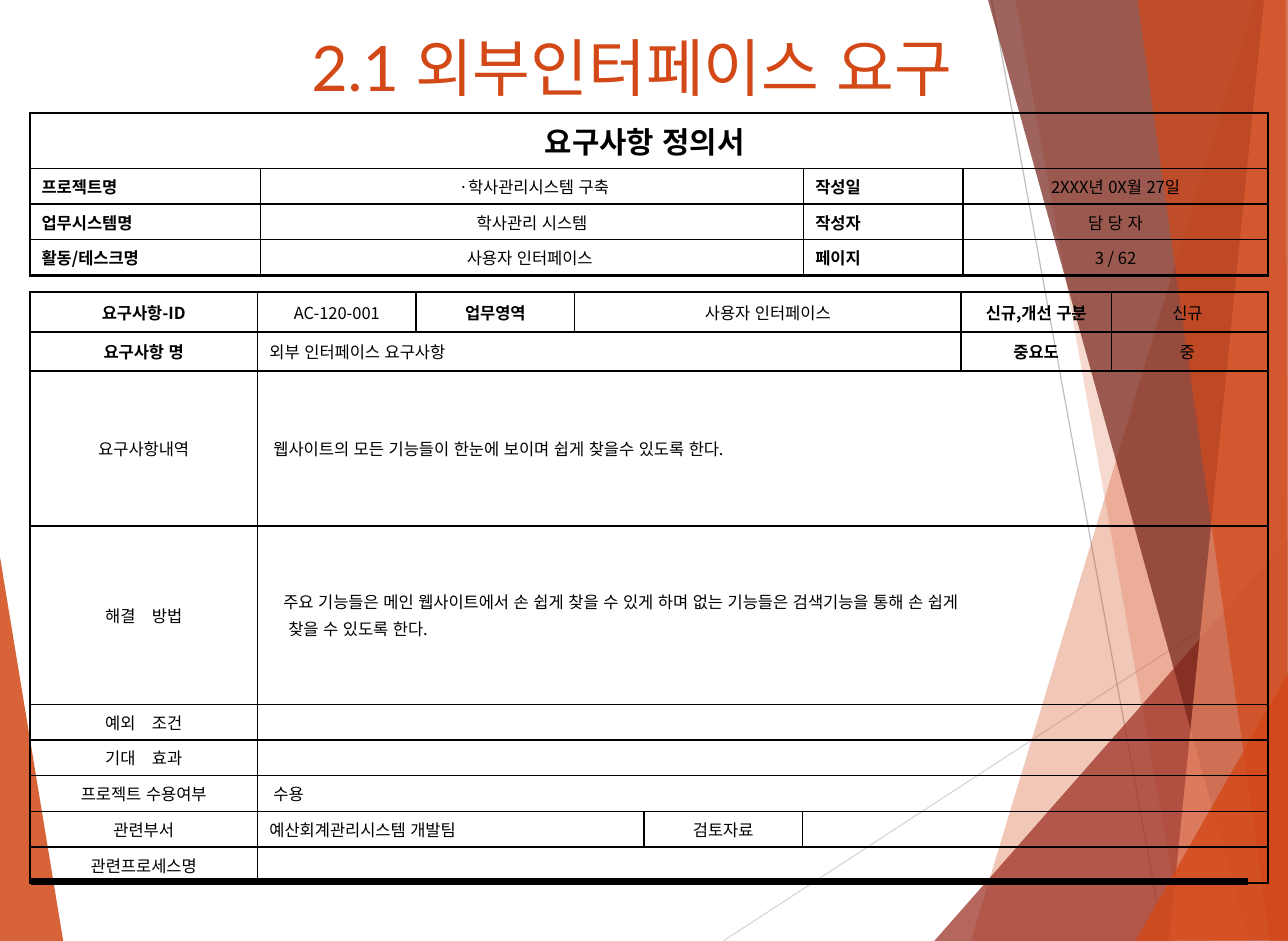
from lxml import etree
from pptx import Presentation
from pptx.dml.color import RGBColor
from pptx.enum.lang import MSO_LANGUAGE_ID
from pptx.enum.shapes import MSO_CONNECTOR
from pptx.enum.text import MSO_ANCHOR, PP_ALIGN
from pptx.oxml.ns import qn
from pptx.util import Pt

PX = 7620
STRAIGHT = MSO_CONNECTOR.STRAIGHT
MIDDLE = MSO_ANCHOR.MIDDLE
KOREAN = MSO_LANGUAGE_ID.KOREAN
LEFT, CENTER, JUSTIFY = PP_ALIGN.LEFT, PP_ALIGN.CENTER, PP_ALIGN.JUSTIFY

THEME = {
    "orange": "D34817", "red": "9B2D1F", "maroon": "742217", "salmon": "EF8C6A",
    "pale": "D9D9D9", "gray": "BFBFBF", "black": "000000",
    "title_font": "Lato", "body_font": "Noto Sans CJK KR",
    "title_size": 38, "head_size": 18, "body_size": 10,
    "thin": 1, "thick": 1.5, "bar": 4.5, "hairline": 0.75,
}


def format_span(span, font, size, color, bold=False):
    span.font.name = font
    span.font.size = Pt(size)
    span.font.bold = bold
    span.font.language_id = KOREAN
    span.font.color.rgb = RGBColor.from_string(THEME[color])
    east_asian = etree.SubElement(span._r.get_or_add_rPr(), qn("a:ea"))
    east_asian.set("typeface", THEME["body_font"])


def set_borders(cell, widths):
    properties = cell._tc.get_or_add_tcPr()
    for position, (side, width) in enumerate(widths.items()):
        border = etree.Element(qn("a:ln" + side), w=str(int(Pt(width))))
        fill = etree.SubElement(border, qn("a:solidFill"))
        etree.SubElement(fill, qn("a:srgbClr"), val=THEME["black"])
        properties.insert(position, border)


deck = Presentation()
deck.slide_width = 1300 * PX
deck.slide_height = 950 * PX
page = deck.slides.add_slide(deck.slide_layouts[6])

facets = [
    ("orange", 85, [(-1, 556), (64, 951), (-1, 950)]),
    ("orange", 30, [(1267, 0), (980, 950), (1302, 951), (1301, 1)]),
    ("orange", 20, [(1025, -1), (1195, 950), (1301, 950), (1301, -1)]),
    ("red", 72, [(943, 950), (1300, 544), (1301, 950)]),
    ("maroon", 70, [(997, -1), (1261, 950), (1301, 949), (1301, -1)]),
    ("salmon", 70, [(1276, -1), (1180, 950), (1301, 950), (1301, -1)]),
    ("orange", 65, [(1148, -1), (1282, 950), (1300, 950), (1298, -1)]),
    ("orange", 80, [(1146, 950), (1301, 678), (1302, 949)]),
]
rules = [
    (730, 950, 1301, 578, "pale", "hairline"),
    (1001, 0, 1175, 950, "gray", "hairline"),
    (31, 890, 1260, 890, "black", "bar"),
]
backdrop = facets[:1] + rules[:2] + facets[1:] + rules[2:]

for item in backdrop:
    if item in rules:
        x1, y1, x2, y2, color, weight = item
        rule = page.shapes.add_connector(STRAIGHT, x1 * PX, y1 * PX, x2 * PX, y2 * PX)
        rule.line.color.rgb = RGBColor.from_string(THEME[color])
        rule.line.width = Pt(THEME[weight])
        etree.SubElement(rule._element.spPr, qn("a:effectLst"))
    else:
        color, opacity, points = item
        builder = page.shapes.build_freeform(*points[0], scale=PX)
        builder.add_line_segments(points[1:], close=True)
        facet = builder.convert_to_shape()
        facet.shadow.inherit = False
        facet.line.fill.background()
        facet.fill.solid()
        facet.fill.fore_color.rgb = RGBColor.from_string(THEME[color])
        tint = facet._element.spPr.find(qn("a:solidFill"))[0]
        etree.SubElement(tint, qn("a:alpha"), val=str(opacity * 1000))

KINDS = {
    "head": (CENTER, True, "head_size"),
    "name": (JUSTIFY, True, "body_size"),
    "label": (CENTER, True, "body_size"),
    "value": (CENTER, False, "body_size"),
    "note": (LEFT, False, "body_size"),
}

project_rows = [[("요구사항 정의서 ", 4, "head", [0])]]
for name, value, side_name, side_value in [
    ("프로젝트명", " ·학사관리시스템 구축", "작성일", "2XXX년 0X월 27일"),
    ("업무시스템명 ", "학사관리 시스템", "작성자", "담 당 자"),
    ("활동/테스크명", "사용자 인터페이스 ", "페이지", "3 / 62"),
]:
    project_rows.append([(name, 1, "name", [0]), (value, 1, "value", [0]),
                         (side_name, 1, "name", [0]), (side_value, 1, "value", [0])])

requirement_rows = [
    [("요구사항-ID", 1, "label", [0]), ("AC-120-001", 1, "value", [0]),
     ("업무영역", 1, "label", [0]), ("사용자 인터페이스", 3, "value", [0]),
     ("신규,개선 구분", 1, "label", [0]), ("신규 ", 1, "value", [0])],
    [("요구사항 명", 1, "label", [0]), ("외부 인터페이스 요구사항", 5, "note", [0]),
     ("중요도", 1, "label", [0]), ("중 ", 1, "value", [0])],
]
for name, note, indents in [
    ("요구사항내역", "웹사이트의 모든 기능들이 한눈에 보이며 쉽게 찾을수 있도록 한다.", [4]),
    ("해결　방법", "주요 기능들은 메인 웹사이트에서 손 쉽게 찾을 수 있게 하며 없는 기능들은 "
     "검색기능을 통해 손 쉽게\n찾을 수 있도록 한다.", [14, 19]),
    ("예외　조건", "", [0]),
    ("기대　효과", "", [0]),
    ("프로젝트 수용여부", "수용", [4]),
]:
    requirement_rows.append([(name, 1, "value", [0]), (note, 7, "note", indents)])
requirement_rows += [
    [("관련부서", 1, "value", [0]), ("예산회계관리시스템 개발팀", 3, "note", [0]),
     ("검토자료", 1, "value", [0]), ("", 3, "note", [0])],
    [("관련프로세스명", 1, "value", [0]), ("", 7, "note", [0])],
]

tables = [
    (114, [233, 548, 161, 308], [56] + [36] * 3, project_rows, []),
    (295, [230, 160, 160, 70, 160, 160, 152, 158], [40, 40, 156, 180] + [36] * 5,
     requirement_rows, [0, 1]),
]
for top, widths, heights, rows, thick_rows in tables:
    grid = page.shapes.add_table(len(heights), len(widths), 30 * PX, top * PX,
                                 sum(widths) * PX, sum(heights) * PX).table
    grid.first_row = False
    grid.horz_banding = False
    for column, width in zip(grid.columns, widths):
        column.width = width * PX
    for grid_row, height in zip(grid.rows, heights):
        grid_row.height = height * PX
    for cell in grid.iter_cells():
        cell.fill.background()
    thin, thick = THEME["thin"], THEME["thick"]
    thick_edges = {0, len(rows)} | {index + 1 for index in thick_rows}
    for row_index, row in enumerate(rows):
        start = 0
        for text, width, kind, indents in row:
            end = start + width
            cell = grid.cell(row_index, start)
            if width > 1:
                cell.merge(grid.cell(row_index, end - 1))
            edges = {
                "L": thick if start == 0 else thin,
                "R": thick if end == len(widths) else thin,
                "T": thick if row_index in thick_edges else thin,
                "B": thick if row_index + 1 in thick_edges else thin,
            }
            for column_index in range(start, end):
                set_borders(grid.cell(row_index, column_index), edges)
            cell.vertical_anchor = MIDDLE
            cell.text_frame.text = text
            alignment, bold, size = KINDS[kind]
            for para, indent in zip(cell.text_frame.paragraphs, indents):
                para.alignment = alignment
                para.space_before = Pt(THEME[size] * 0.2)
                para._p.get_or_add_pPr().set("marL", str(indent * PX))
                for span in para.runs:
                    format_span(span, THEME["body_font"], THEME[size], "black", bold)
                if not text:
                    etree.SubElement(para._p, qn("a:endParaRPr"), sz=str(THEME[size] * 100))
            start = end

title_box = page.shapes.add_textbox(187 * PX, 23 * PX, 902 * PX, 182 * PX)
title_box.text_frame.word_wrap = True
title_box.text_frame.text = "2.1 외부인터페이스 요구"
title_para = title_box.text_frame.paragraphs[0]
title_para.alignment = CENTER
format_span(title_para.runs[0], THEME["title_font"], THEME["title_size"], "orange")

deck.save("out.pptx")
